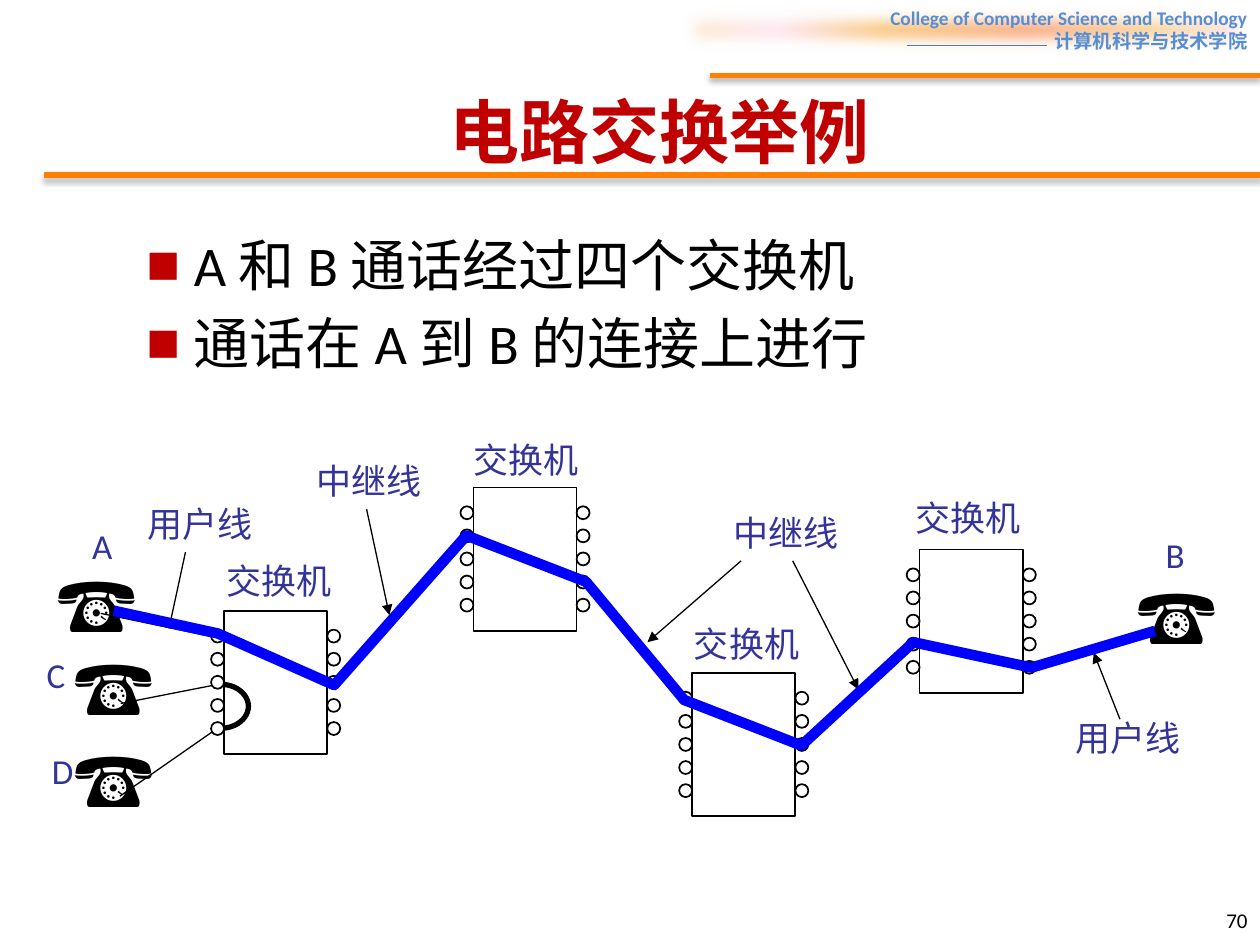
from dataclasses import dataclass
from math import cos, pi, sin

from lxml import etree
from pptx import Presentation
from pptx import util as u
from pptx.dml.color import RGBColor
from pptx.enum import shapes, text
from pptx.oxml import parse_xml
from pptx.oxml.ns import qn

Pt = u.Pt
NS = 'xmlns:a="http://schemas.openxmlformats.org/drawingml/2006/main"'


@dataclass(frozen=True)
class Theme:
    ink: str = "000000"
    paper: str = "FFFFFF"
    red: str = "C00000"
    label: str = "333399"
    path_blue: str = "0000FF"
    head: str = "558ED5"
    rule: str = "FF8000"
    thin: str = "4B7EBC"
    glow: tuple = ((0, "FBEAC7"), (18, "FEE7F2"), (36, "FAC77D"),
                   (61, "FBA97D"), (82, "FBD49C"), (100, "FEE7F2"))
    han: str = "Noto Sans CJK SC"
    sans: str = "Calibri"
    serif: str = "Times New Roman"
    phone: str = "Arial"
    title: int = 40
    body: int = 32
    icon: int = 44
    tag: int = 20
    page: int = 12
    small: int = 11


T = Theme()
WIDE, TALL, PORT = 59, 82, 7.4
BOXES = [(128, 349), (270.5, 278.5), (395.5, 384.5), (525.5, 314)]
PHONES = [(26, 314), (643, 320.5), (35.5, 361.5), (35.5, 414)]
TAGS = [("交换机", 122.5, 316), ("交换机", 263.5, 247), ("交换机", 389.5, 352),
        ("交换机", 516, 280), ("用户线", 77, 283.5), ("用户线", 607.5, 406),
        ("中继线", 412, 288.5), ("中继线", 174, 259)]
NAMES = [("B", 659, 301.5), ("D", 22.5, 425), ("C", 19.5, 370), ("A", 45.5, 296)]
WIRES = [(68.5, 455, 124.5, 416), (69, 402, 125, 391),
         (588, 382, 661.5, 360), (57.5, 350.5, 124.5, 364.5)]
ARROWS = [(106, 315.5, 96.5, 359.5), (640, 411, 625, 373), (423.5, 320.5, 370, 367),
          (453, 320.5, 490.5, 394), (209.5, 291, 222.5, 351.5)]
TRUNK = [(123, 363), (192, 391), (268, 306.5), (335, 332), (391, 399),
         (458.5, 427), (522.5, 368), (590.5, 382)]
CALL = [(65, 349), (124.5, 362), (191, 391.5), (266.5, 306), (335, 332.5),
        (391, 400), (458, 426), (522, 367), (589.5, 381.5), (660, 360.5)]
LOOP = [(126 + 16 * sin(pi * i / 24), 403.6 - 12.6 * cos(pi * i / 24)) for i in range(25)]


def rgb(tone):
    return RGBColor.from_string(tone)


def place(item, left, top, wide, high):
    item.left, item.top, item.width, item.height = map(Pt, (left, top, wide, high))


def style(par, size, face, tone, bold=False, han=True):
    for run in par.runs:
        font = run.font
        font.size, font.name, font.bold = Pt(size), face, bold
        font.color.rgb = rgb(tone)
        if han:
            east = etree.Element(qn("a:ea"), typeface=T.han)
            run._r.rPr.find(qn("a:latin")).addnext(east)


def effect(item, inner=""):
    props = item._element.spPr
    for old in props.findall(qn("a:effectLst")):
        props.remove(old)
    props.append(parse_xml(f"<a:effectLst {NS}>{inner}</a:effectLst>"))


def write(slide, words, box, size, face, tone, align=None, bold=False, wrap=False, han=True):
    item = slide.shapes.add_textbox(*map(Pt, box))
    frame = item.text_frame
    frame.word_wrap = wrap
    frame.text = words
    for par in frame.paragraphs:
        par.alignment = align
        style(par, size, face, tone, bold, han)
    return item


def line(slide, ends, tone=T.ink, width=0.75, arrow=False, glow=""):
    item = slide.shapes.add_connector(shapes.MSO_CONNECTOR.STRAIGHT, *map(Pt, ends))
    item.line.color.rgb = rgb(tone)
    item.line.width = Pt(width)
    if arrow:
        etree.SubElement(item.line._get_or_add_ln(), qn("a:tailEnd"), type="triangle")
    effect(item, glow)


def curve(slide, points, tone, width):
    spots = [(Pt(x), Pt(y)) for x, y in points]
    pen = slide.shapes.build_freeform(*spots[0], scale=1.0)
    pen.add_line_segments(spots[1:], close=False)
    item = pen.convert_to_shape()
    item.shadow.inherit = False
    item.fill.background()
    item.line.color.rgb = rgb(tone)
    item.line.width = Pt(width)


def block(slide, kind, box, fill=None):
    item = slide.shapes.add_shape(kind, *map(Pt, box))
    item.shadow.inherit = False
    if fill:
        item.fill.solid()
        item.fill.fore_color.rgb = rgb(fill)
    else:
        item.fill.background()
    item.line.color.rgb = rgb(T.ink)
    item.line.width = Pt(1)
    return item


def switch(slide, left, top):
    block(slide, shapes.MSO_SHAPE.RECTANGLE, (left, top, WIDE, TALL))
    for side in (left - PORT, left + WIDE):
        for row in range(5):
            spot = (side, top + 10.8 + 13.2 * row, PORT, PORT)
            block(slide, shapes.MSO_SHAPE.OVAL, spot, T.paper)


def heading(slide):
    item = slide.shapes.title
    place(item, 71, 43, 612, 59)
    frame = item.text_frame
    frame.text = "电路交换举例"
    frame.vertical_anchor = text.MSO_ANCHOR.BOTTOM
    par = frame.paragraphs[0]
    par.alignment = text.PP_ALIGN.CENTER
    style(par, T.title, T.han, T.red, True)


def points(slide):
    item = slide.placeholders[1]
    place(item, 76.5, 128, 612, 324)
    frame = item.text_frame
    frame.text = "A 和 B 通话经过四个交换机\n通话在 A 到 B 的连接上进行"
    for par in frame.paragraphs:
        props = par._p.get_or_add_pPr()
        props.set("marL", str(Pt(27)))
        props.set("indent", str(Pt(-27)))
        tint = etree.SubElement(props, qn("a:buClr"))
        etree.SubElement(tint, qn("a:srgbClr"), val=T.red)
        etree.SubElement(props, qn("a:buChar"), char="■")
        style(par, T.body, T.sans, T.ink)
    frame.paragraphs[0].space_before = Pt(0)


def banner(slide):
    bar = block(slide, shapes.MSO_SHAPE.RECTANGLE, (384, 0, 336, 34))
    bar.line.fill.background()
    props = bar._element.spPr
    stops = "".join(f'<a:gs pos="{at * 1000}"><a:srgbClr val="{tone}"/></a:gs>'
                    for at, tone in T.glow)
    fill = parse_xml(f'<a:gradFill {NS} rotWithShape="1"><a:gsLst>{stops}</a:gsLst>'
                     '<a:lin ang="0" scaled="0"/></a:gradFill>')
    props.replace(props.find(qn("a:noFill")), fill)
    effect(bar, f'<a:softEdge rad="{Pt(10)}"/>')
    write(slide, "College of Computer Science and Technology\n计算机科学与技术学院",
          (384, 0, 336, 34), T.small, T.sans, T.head, text.PP_ALIGN.RIGHT, True, True)
    line(slide, (518.5, 26, 598.5, 26), T.thin)
    shade = (f'<a:outerShdw blurRad="{Pt(3.1)}" dist="{Pt(1.8)}" dir="5400000" rotWithShape="0">'
             f'<a:srgbClr val="{T.ink}"><a:alpha val="35000"/></a:srgbClr></a:outerShdw>')
    for left, top in ((25, 100), (405.5, 43)):
        line(slide, (left, top, 720, top), T.rule, 3, glow=shade)


def network(slide):
    curve(slide, LOOP, T.ink, 3)
    for ends in WIRES:
        line(slide, ends)
    curve(slide, TRUNK, T.ink, 3)
    for spot in BOXES:
        switch(slide, *spot)
    for spot in PHONES:
        write(slide, "☎", (*spot, 62, 60), T.icon, T.phone, T.ink, han=False)
    for ends in ARROWS:
        line(slide, ends, arrow=True)
    for group, wide, face in ((TAGS, 78, T.serif), (NAMES, 28.5, T.sans)):
        for words, left, top in group:
            write(slide, words, (left, top, wide, 31), T.tag, face, T.label,
                  text.PP_ALIGN.LEFT, wrap=True)
    curve(slide, CALL, T.path_blue, 6)


def main():
    deck = Presentation()
    deck.slide_width, deck.slide_height = Pt(720), Pt(540)
    slide = deck.slides.add_slide(deck.slide_layouts[1])
    heading(slide)
    points(slide)
    network(slide)
    banner(slide)
    page = write(slide, "70", (552, 511, 168, 29), T.page, T.sans, T.ink,
                 text.PP_ALIGN.RIGHT, wrap=True)
    page.text_frame.vertical_anchor = text.MSO_ANCHOR.MIDDLE
    deck.save("out.pptx")


if __name__ == "__main__":
    main()
